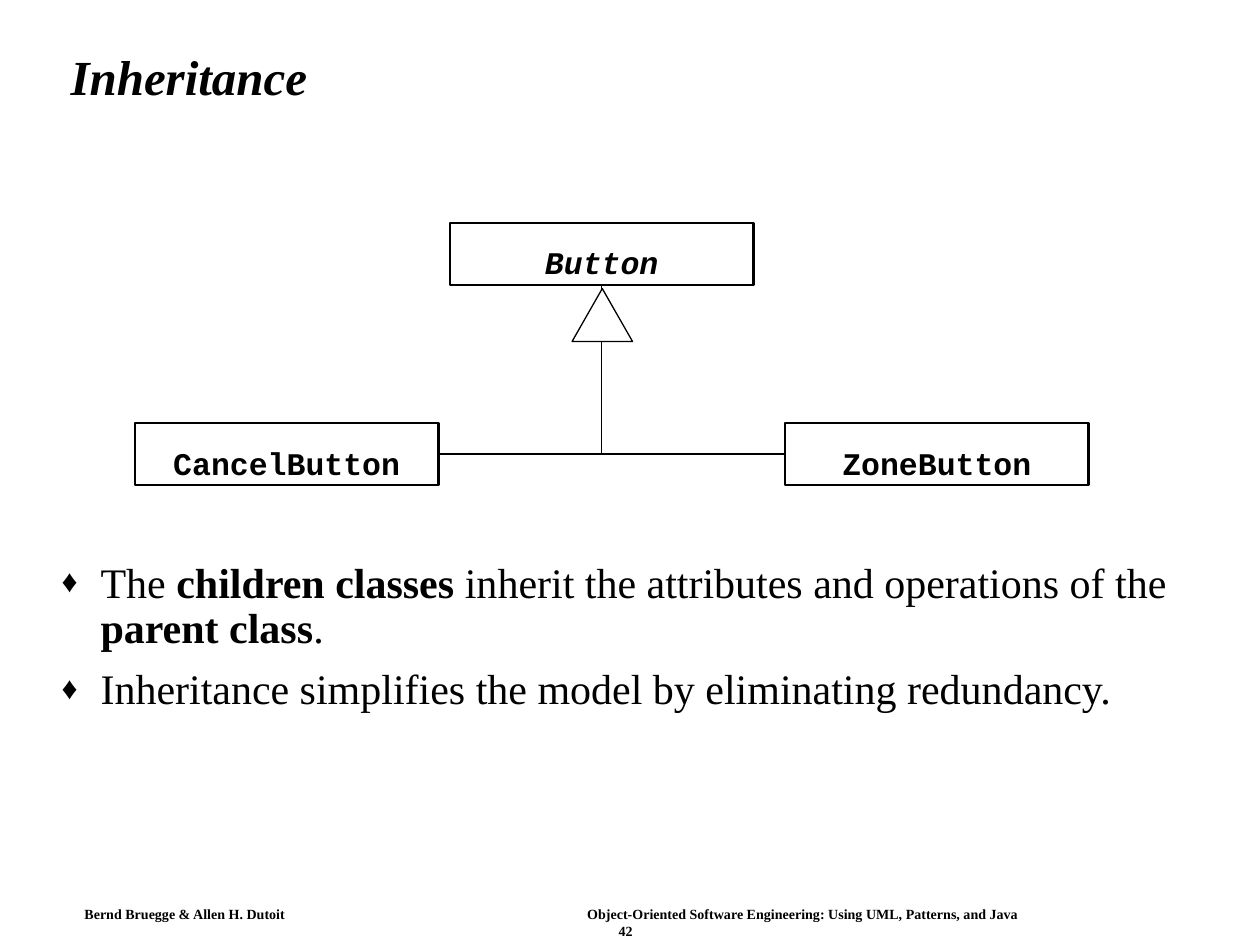
from lxml.etree import SubElement
from pptx import Presentation
from pptx.dml.color import RGBColor
from pptx.enum.shapes import MSO_CONNECTOR as Connector, MSO_SHAPE as Shape
from pptx.enum.text import MSO_ANCHOR as Anchor, PP_ALIGN as Align
from pptx.oxml.ns import qn
from pptx.util import Inches, Pt

BLACK = "000000"
WHITE = "FFFFFF"
SERIF = "Times New Roman"
MONO = "Courier New"
BOX_WIDTH, BOX_HEIGHT = 2.41, 0.49
BOTTOM, LEFT, RIGHT = 2, 1, 3


def color(value):
    return RGBColor.from_string(value)


def add_text(paragraph, text, size=24, font=SERIF, bold=False, italic=False,
             align=Align.LEFT):
    paragraph.alignment = align
    run = paragraph.add_run()
    run.text = text
    run.font.size = Pt(size)
    run.font.name = font
    run.font.bold = bold
    run.font.italic = italic
    run.font.color.rgb = color(BLACK)


def set_frame(frame, anchor, horizontal, vertical):
    frame.word_wrap = True
    frame.vertical_anchor = anchor
    frame.margin_left = frame.margin_right = Inches(horizontal)
    frame.margin_top = frame.margin_bottom = Inches(vertical)


def add_text_box(slide, left, top, width, height, horizontal, vertical):
    box = slide.shapes.add_textbox(Inches(left), Inches(top), Inches(width), Inches(height))
    set_frame(box.text_frame, Anchor.TOP, horizontal, vertical)
    return box.text_frame


def set_title(slide, text):
    title = slide.shapes.title
    title.left, title.top = Inches(0.46), Inches(0.25)
    title.width, title.height = Inches(8.92), Inches(0.77)
    set_frame(title.text_frame, Anchor.MIDDLE, 0.1, 0.05)
    paragraph = title.text_frame.paragraphs[0]
    paragraph.line_spacing = 0.9
    add_text(paragraph, text, size=28, bold=True, italic=True)


def add_outline(slide, kind, left, top, width, height, line_width):
    shape = slide.shapes.add_shape(kind, Inches(left), Inches(top), Inches(width), Inches(height))
    shape.shadow.inherit = False
    shape.line.color.rgb = color(BLACK)
    shape.line.width = Pt(line_width)
    return shape


def add_class(slide, name, left, top, italic=False):
    shape = add_outline(slide, Shape.RECTANGLE, left, top, BOX_WIDTH, BOX_HEIGHT, 1.25)
    shape.fill.background()
    set_frame(shape.text_frame, Anchor.BOTTOM, 0, 0.03)
    add_text(shape.text_frame.paragraphs[0], name, size=18, font=MONO, bold=True,
             italic=italic, align=Align.CENTER)
    return shape


def connect_child(slide, child, side, parent):
    line = slide.shapes.add_connector(Connector.ELBOW, 0, 0, 0, 0)
    line.begin_connect(child, side)
    line.end_connect(parent, BOTTOM)
    line.line.color.rgb = color(BLACK)
    line.line.width = Pt(0.75)
    properties = line._element.spPr
    properties.find(qn("a:prstGeom")).set("prst", "bentConnector2")
    SubElement(properties, qn("a:effectLst"))


def add_inheritance(slide):
    parent = add_class(slide, "Button", 3.57, 1.77, italic=True)
    zone = add_class(slide, "ZoneButton", 6.23, 3.36)
    cancel = add_class(slide, "CancelButton", 1.07, 3.36)
    connect_child(slide, zone, LEFT, parent)
    connect_child(slide, cancel, RIGHT, parent)

    arrow = add_outline(slide, Shape.ISOSCELES_TRIANGLE, 4.54, 2.29, 0.48, 0.42, 0.75)
    arrow.fill.solid()
    arrow.fill.fore_color.rgb = color(WHITE)


def add_bullet(paragraph, runs):
    paragraph.line_spacing = 0.9
    paragraph.space_before = Pt(9)
    for text, bold in runs:
        add_text(paragraph, text, bold=bold)
    properties = paragraph._p.get_or_add_pPr()
    properties.set("marL", str(Inches(0.31)))
    properties.set("indent", str(Inches(-0.31)))
    bullet_color = SubElement(properties, qn("a:buClr"))
    SubElement(bullet_color, qn("a:srgbClr"), val=BLACK)
    SubElement(properties, qn("a:buSzPct"), val="75000")
    SubElement(properties, qn("a:buFont"), typeface=SERIF)
    SubElement(properties, qn("a:buChar"), char="♦")


def add_body(slide):
    frame = add_text_box(slide, 0.39, 4.41, 9.03, 2.39, 0.1, 0.05)
    add_bullet(frame.paragraphs[0], [
        ("The ", False),
        ("children classes", True),
        (" inherit the attributes and operations of the ", False),
        ("parent class", True),
        (".", False),
    ])
    add_bullet(frame.add_paragraph(), [
        ("Inheritance simplifies the model by eliminating redundancy.", False),
    ])


def add_footer(slide):
    frame = add_text_box(slide, 0.59, 7.15, 8.75, 0.34, 0.08, 0.04)
    credit = frame.paragraphs[0]
    add_text(credit, "Bernd Bruegge & Allen H. Dutoit\t"
             "Object-Oriented Software Engineering: Using UML, Patterns, and Java",
             size=8, bold=True)
    tabs = SubElement(credit._p.get_or_add_pPr(), qn("a:tabLst"))
    SubElement(tabs, qn("a:tab"), pos=str(Inches(3.99)), algn="l")
    add_text(frame.add_paragraph(), "42", size=8, bold=True, align=Align.CENTER)


def main():
    presentation = Presentation()
    presentation.slide_width = Inches(10)
    presentation.slide_height = Inches(7.5)
    slide = presentation.slides.add_slide(presentation.slide_layouts[5])
    slide.background.fill.solid()
    slide.background.fill.fore_color.rgb = color(WHITE)
    add_footer(slide)
    set_title(slide, "Inheritance")
    add_body(slide)
    add_inheritance(slide)
    presentation.save("out.pptx")


if __name__ == "__main__":
    main()
